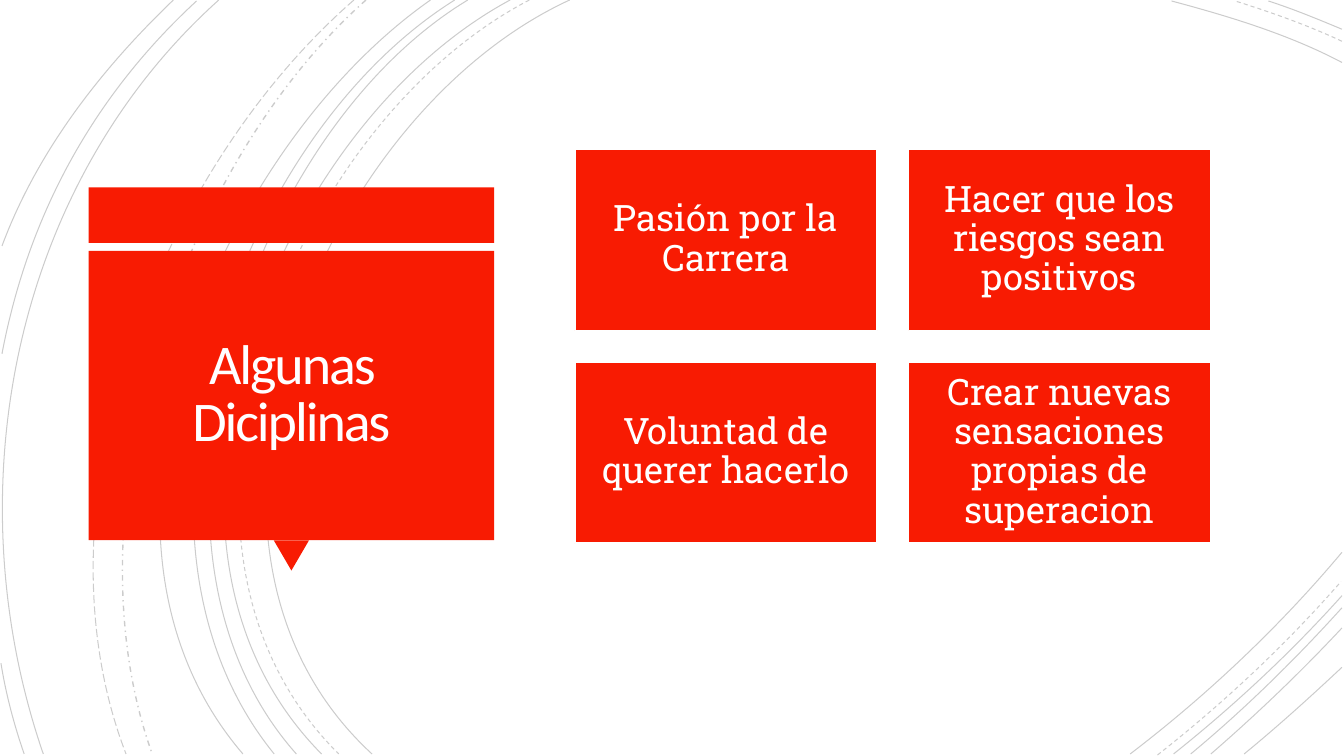
import lxml.etree
import pptx
import pptx.util
import pptx.dml.color
import pptx.enum.dml
import pptx.enum.shapes
import pptx.enum.text
import pptx.oxml.ns

Inches = pptx.util.Inches
Pt = pptx.util.Pt
RGBColor = pptx.dml.color.RGBColor
qn = pptx.oxml.ns.qn
SHAPE = pptx.enum.shapes.MSO_SHAPE
DASH = pptx.enum.dml.MSO_LINE

RED = RGBColor(0xF8, 0x1B, 0x02)
WHITE = RGBColor(0xFF, 0xFF, 0xFF)
TITLE_WHITE = RGBColor(0xFF, 0xFE, 0xFF)
BLACK = RGBColor(0, 0, 0)

# Cubic curves: start, two control points, end, grouped by line style
SOLID_ARCS = [
    [(5.65, 0), (3.15, 1.15), (1.43, 5.4), (3.69, 7.48)],
    [(13.31, 0.62), (12.78, 0.34), (12.18, 0.16), (11.62, 0.01)],
    [(11.21, 7.48), (11.97, 6.9), (12.69, 6.22), (13.31, 5.48)],
    [(5.06, 0), (2.7, 1.27), (1.1, 5.37), (3.19, 7.48)],
    [(13.31, 0.29), (13.07, 0.19), (12.83, 0.09), (12.58, 0.01)],
    [(11.64, 7.48), (12.23, 7.01), (12.8, 6.48), (13.31, 5.91)],
    [(4.64, 0), (2.44, 1.33), (1.1, 5.41), (2.94, 7.48)],
    [(11.81, 7.48), (12.34, 7.04), (12.84, 6.55), (13.31, 6.03)],
    [(4.51, 0), (2.31, 1.38), (0.97, 5.33), (2.72, 7.48)],
    [(12.01, 7.48), (12.46, 7.09), (12.9, 6.67), (13.31, 6.23)],
    [(4.27, 0), (2.17, 1.47), (0.53, 5.29), (2.41, 7.48)],
    [(12.34, 7.48), (12.67, 7.21), (12.99, 6.92), (13.31, 6.62)],
    [(2.17, 0), (0.11, 1.85), (-0.46, 4.9), (0.43, 7.48)],
    [(1.95, 0.01), (0.92, 0.96), (0.28, 2.14), (0.02, 3.51)],
    [(0.01, 6.58), (0.06, 6.89), (0.14, 7.19), (0.24, 7.48)],
    [(1.72, 0), (1, 0.69), (0.37, 1.5), (0.02, 2.44)],
]
DASHED_ARCS = [
    [(5.25, 0), (2.85, 1.25), (1.23, 5.37), (3.36, 7.48)],
    [(13.31, 0.41), (12.97, 0.25), (12.6, 0.12), (12.25, 0.01)],
    [(11.48, 7.49), (12.13, 6.98), (12.75, 6.4), (13.3, 5.77)],
]
DASH_DOT_ARCS = [[(3.63, 0), (1.76, 1.66), (0.65, 5.09), (1.51, 7.48)]]
LONG_DASH_ARCS = [[(3.51, 0), (1.57, 1.69), (0.29, 4.99), (1.25, 7.48)]]
ARC_STYLES = [
    (SOLID_ARCS, DASH.SOLID, 0.75),
    (DASHED_ARCS, DASH.DASH, 0.75),
    (DASH_DOT_ARCS, DASH.DASH_DOT, 1),
    (LONG_DASH_ARCS, DASH.LONG_DASH, 0.75),
]

CARDS = [
    "Pasión por la Carrera",
    "Hacer que los riesgos sean positivos",
    "Voluntad de querer hacerlo",
    "Crear nuevas sensaciones propias de superacion",
]


def add_arc(page, left, top, points, dash, weight):
    """Draw one cubic curve as a faint open line."""
    corners = [(Inches(left + x), Inches(top + y)) for x, y in points]
    builder = page.shapes.build_freeform(*corners[0])
    builder.add_line_segments(corners[1:], close=False)
    arc = builder.convert_to_shape()
    arc.shadow.inherit = False
    arc.fill.background()
    arc.line.color.rgb = BLACK
    arc.line.width = Pt(weight)
    arc.line.dash_style = dash

    # Turn the three segments into one Bezier curve
    segments = list(arc.element.iter(qn("a:lnTo")))
    outline = segments[0].getparent()
    curve = lxml.etree.SubElement(outline, qn("a:cubicBezTo"))
    for segment in segments:
        curve.append(segment[0])
        outline.remove(segment)

    # Line opacity of 20 %
    line = next(arc.element.iter(qn("a:ln")))
    color = next(line.iter(qn("a:srgbClr")))
    lxml.etree.SubElement(color, qn("a:alpha")).set("val", "20000")


def add_background(page, left, top):
    for arcs, dash, weight in ARC_STYLES:
        for points in arcs:
            add_arc(page, left, top, points, dash, weight)


def add_block(page, kind, left, top, width, height):
    block = page.shapes.add_shape(
        kind, Inches(left), Inches(top), Inches(width), Inches(height))
    block.shadow.inherit = False
    block.fill.solid()
    block.fill.fore_color.rgb = RED
    block.line.fill.background()
    return block


def write_text(shape, text, font, size, color, spacing, inset):
    frame = shape.text_frame
    frame.word_wrap = True
    frame.auto_size = pptx.enum.text.MSO_AUTO_SIZE.NONE
    frame.vertical_anchor = pptx.enum.text.MSO_ANCHOR.MIDDLE
    frame.margin_left = frame.margin_right = Inches(inset)
    frame.margin_top = frame.margin_bottom = Inches(inset)
    para = frame.paragraphs[0]
    para.alignment = pptx.enum.text.PP_ALIGN.CENTER
    para.line_spacing = spacing
    span = para.add_run()
    span.text = text
    span.font.name = font
    span.font.size = Pt(size)
    span.font.color.rgb = color


def add_title_panel(page, left, top, width, height):
    """Red strip, main panel with a downward pointer, and the title."""
    strip, gap, pointer_width, pointer_height = 0.55, 0.08, 0.35, 0.3
    panel_top = top + strip + gap
    panel_height = height - strip - gap - pointer_height
    add_block(page, SHAPE.RECTANGLE, left, top, width, strip)
    pointer = add_block(
        page, SHAPE.ISOSCELES_TRIANGLE, left + (width - pointer_width) / 2,
        panel_top + panel_height, pointer_width, pointer_height)
    pointer.rotation = 180
    add_block(page, SHAPE.RECTANGLE, left, panel_top, width, panel_height)

    title = page.shapes.title
    margin = 0.09
    title.left, title.top = Inches(left + margin), Inches(panel_top + margin)
    title.width = Inches(width - 2 * margin)
    title.height = Inches(panel_height - 2 * margin)
    write_text(title, "Algunas Diciplinas", "Calibri", 40,
               TITLE_WHITE, 0.85, 0.1)
    # Tighten the letters by 1.5 points
    next(title.element.iter(qn("a:rPr"))).set("spc", "-150")
    # Bring the title in front of the panel
    title.element.getparent().append(title.element)


def add_cards(page, left, top, width, height):
    """Two-column grid of red cards."""
    columns, gap = 2, 0.31
    rows = len(CARDS) // columns
    card_width = (width - gap * (columns - 1)) / columns
    card_height = (height - gap * (rows - 1)) / rows
    for index, text in enumerate(CARDS):
        row, column = divmod(index, columns)
        card = add_block(
            page, SHAPE.RECTANGLE, left + column * (card_width + gap),
            top + row * (card_height + gap), card_width, card_height)
        card.line.color.rgb = WHITE
        card.line.width = Pt(1.25)
        write_text(card, text, "Roboto Slab", 26, WHITE, 0.9, 0.11)


deck = pptx.Presentation()
deck.slide_width, deck.slide_height = Inches(13.33), Inches(7.5)
page = deck.slides.add_slide(deck.slide_layouts[5])
page.background.fill.solid()
page.background.fill.fore_color.rgb = WHITE
add_background(page, 0, 0)
add_title_panel(page, 0.88, 1.86, 4.02, 3.8)
add_cards(page, 5.7, 1.48, 6.31, 3.91)
deck.save("out.pptx")
